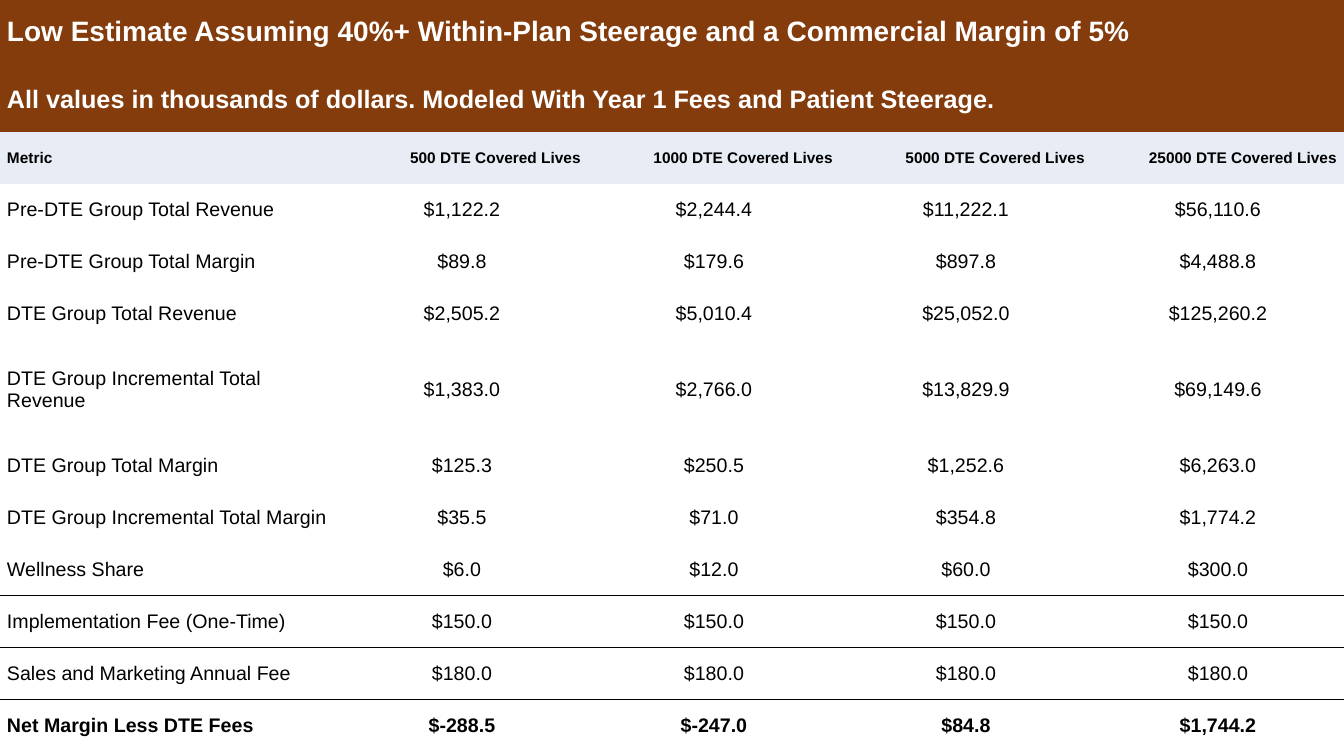
from pptx import Presentation, util as u
from pptx.dml.color import RGBColor
from pptx.enum import text
from pptx.oxml import parse_xml
from pptx.oxml.ns import nsdecls

BROWN, PALE, BLACK, WHITE = "843C0C", "E7ECF5", "000000", "FFFFFF"
NO_GRID_STYLE = "{2D5ABB26-0587-4C30-8999-92F81FD0307C}"
LEFT, CENTER, RIGHT = text.PP_ALIGN.LEFT, text.PP_ALIGN.CENTER, text.PP_ALIGN.RIGHT

BANNERS = [
    ("Low Estimate Assuming 40%+ Within-Plan Steerage and a Commercial Margin of 5%", 20),
    ("All values in thousands of dollars. Modeled With Year 1 Fees and Patient Steerage.", 18),
]
COVERED_LIVES = [500, 1000, 5000, 25000]
METRICS = [
    ("Pre-DTE Group Total Revenue", [1122.2, 2244.4, 11222.1, 56110.6]),
    ("Pre-DTE Group Total Margin", [89.8, 179.6, 897.8, 4488.8]),
    ("DTE Group Total Revenue", [2505.2, 5010.4, 25052.0, 125260.2]),
    ("DTE Group Incremental Total Revenue", [1383.0, 2766.0, 13829.9, 69149.6]),
    ("DTE Group Total Margin", [125.3, 250.5, 1252.6, 6263.0]),
    ("DTE Group Incremental Total Margin", [35.5, 71.0, 354.8, 1774.2]),
    ("Wellness Share", [6.0, 12.0, 60.0, 300.0]),
    ("Implementation Fee (One-Time)", [150.0] * 4),
    ("Sales and Marketing Annual Fee", [180.0] * 4),
    ("Net Margin Less DTE Fees", [-288.5, -247.0, 84.8, 1744.2]),
]
RULED_BELOW = {"Wellness Share", "Sales and Marketing Annual Fee"}
COLUMN_WIDTHS = [240] + [180] * 4
ROW_HEIGHTS = [51.1, 46.1] + [37.15] * 4 + [71.3] + [37.15] * 6


def color(code):
    """Turn a hex string into a colour."""
    return RGBColor.from_string(code)


def write_cell(cell, wording, size, align=LEFT, bold=False, ink=BLACK, fill=None):
    """Fill one table cell with a single formatted run."""
    cell.margin_left = cell.margin_right = cell.margin_top = cell.margin_bottom = 0
    cell.vertical_anchor = text.MSO_ANCHOR.MIDDLE
    if fill:
        cell.fill.solid()
        cell.fill.fore_color.rgb = color(fill)
    else:
        cell.fill.background()
    paragraph = cell.text_frame.paragraphs[0]
    paragraph.alignment = align
    for side in ("marL", "marR"):
        paragraph._p.get_or_add_pPr().set(side, str(u.Pt(5)))
    run = paragraph.add_run()
    run.text = wording
    run.font.name, run.font.size, run.font.bold = "Arial", u.Pt(size), bold
    run.font.color.rgb = color(ink)


def write_row(table, row, wordings, size, value_align, bold, fill=None):
    """Write a label followed by its aligned values."""
    for column, wording in enumerate(wordings):
        align = value_align if column else LEFT
        write_cell(table.cell(row, column), wording, size, align, bold, fill=fill)


def rule_cell(cell, side):
    """Draw a thin black border on the T or B side of a cell."""
    border = parse_xml(
        f'<a:ln{side} {nsdecls("a")} w="{u.Pt(1)}"><a:solidFill>'
        f'<a:srgbClr val="{BLACK}"/></a:solidFill></a:ln{side}>')
    cell._tc.get_or_add_tcPr().insert(0, border)


def rule_below(table, row):
    """Separate a row from the next one with a line."""
    for column in range(len(COLUMN_WIDTHS)):
        rule_cell(table.cell(row, column), "B")
        rule_cell(table.cell(row + 1, column), "T")


def add_plain_table(slide):
    """Add an unstyled table with the set column widths and row heights."""
    frame = slide.shapes.add_table(
        len(ROW_HEIGHTS), len(COLUMN_WIDTHS), u.Pt(0), u.Pt(-2.9),
        u.Pt(sum(COLUMN_WIDTHS)), u.Pt(sum(ROW_HEIGHTS)))
    table = frame.table
    table.first_row = table.horz_banding = False
    table._tbl.tblPr[0].text = NO_GRID_STYLE
    for column, width in zip(table.columns, COLUMN_WIDTHS):
        column.width = u.Pt(width)
    for row, height in zip(table.rows, ROW_HEIGHTS):
        row.height = u.Pt(height)
    return table


def main():
    """Build the margin estimate slide."""
    deck = Presentation()
    deck.slide_width, deck.slide_height = u.Pt(960), u.Pt(540)
    slide = deck.slides.add_slide(deck.slide_layouts[6])
    table = add_plain_table(slide)

    for row, (wording, size) in enumerate(BANNERS):
        table.cell(row, 0).merge(table.cell(row, len(COLUMN_WIDTHS) - 1))
        write_cell(table.cell(row, 0), wording, size, bold=True, ink=WHITE, fill=BROWN)

    header_row = len(BANNERS)
    headings = ["Metric"] + [f"{lives} DTE Covered Lives" for lives in COVERED_LIVES]
    write_row(table, header_row, headings, 11, RIGHT, True, PALE)

    for row, (metric, amounts) in enumerate(METRICS, header_row + 1):
        wordings = [metric] + [f"${amount:,.1f}" for amount in amounts]
        write_row(table, row, wordings, 14, CENTER, metric.startswith("Net"))
        if metric in RULED_BELOW:
            rule_below(table, row)

    deck.save("out.pptx")


if __name__ == "__main__":
    main()
